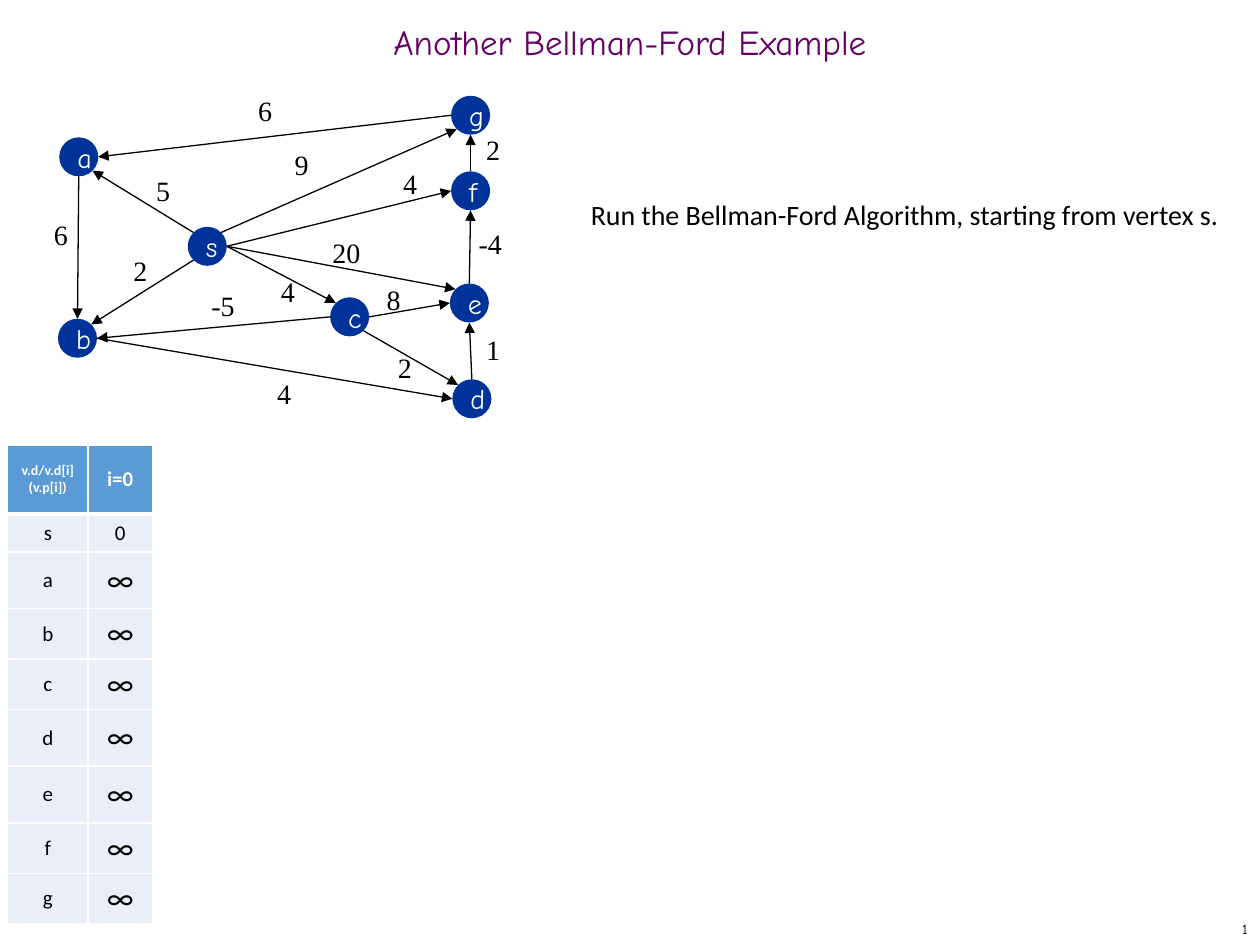
import math
from lxml import etree
from pptx import Presentation
from pptx import util as u
from pptx.dml.color import RGBColor
from pptx.enum import shapes, text
from pptx.oxml import ns

MID = text.MSO_ANCHOR.MIDDLE
LEFT, CENTER, RIGHT = (text.PP_ALIGN.LEFT, text.PP_ALIGN.CENTER,
                       text.PP_ALIGN.RIGHT)
HAND, SERIF, SANS = "Comic Neue", "Times New Roman", "Calibri"
SIZE = 0.31  # vertex diameter

# Top left corner of each vertex
NODES = {
    "s": (1.49, 1.8), "a": (0.47, 1.09), "b": (0.46, 2.53), "c": (2.62, 2.36),
    "d": (3.59, 3.01), "e": (3.57, 2.25), "f": (3.58, 1.36), "g": (3.58, 0.76),
}
# Side of a vertex, as degrees clockwise from east
SIDES = {"E": 0, "SE": 45, "S": 90, "SW": 135,
         "W": 180, "NW": 225, "N": 270, "NE": 315}
# Start vertex and side, end vertex and side, weight, left and top of weight
EDGES = [
    ("s", "NW", "a", "SE", "5", 1.14, 1.33),
    ("s", "SW", "b", "NE", "2", 0.96, 1.96),
    ("s", "NE", "g", "SW", "9", 2.24, 1.12),
    ("s", "E", "f", "W", "4", 3.1, 1.27),
    ("s", "E", "e", "NW", "20", 2.54, 1.82),
    ("s", "E", "c", "NW", "4", 2.13, 2.13),
    ("a", "S", "b", "N", "6", 0.33, 1.68),
    ("b", "E", "d", "W", "4", 2.1, 2.94),
    ("c", "W", "b", "E", "-5", 1.58, 2.24),
    ("c", "E", "e", "W", "8", 2.97, 2.19),
    ("c", "SE", "d", "NW", "2", 3.06, 2.73),
    ("d", "N", "e", "S", "1", 3.76, 2.59),
    ("e", "N", "f", "S", "-4", 3.7, 1.75),
    ("f", "N", "g", "S", "2", 3.76, 1),
    ("g", "W", "a", "E", "6", 1.95, 0.69),
]


def color(code):
    return RGBColor.from_string(code)


def write(frame, words, size, face, tint="000000", align=LEFT, bold=False):
    frame.text = words
    par = frame.paragraphs[0]
    par.alignment = align
    for run in par.runs:
        font = run.font
        font.size, font.name, font.bold = u.Pt(size), face, bold
        font.color.rgb = color(tint)


def place(shape, *box):
    shape.left, shape.top, shape.width, shape.height = map(u.Inches, box)


def add_title(slide, words):
    title = slide.shapes.title
    place(title, 0, 0.12, 10, 0.5)
    frame = title.text_frame
    frame.vertical_anchor = MID
    write(frame, words, 20, HAND, "660066", CENTER)
    frame.paragraphs[0].line_spacing = 0.7


def add_text(slide, box, words, size, face, align=LEFT):
    frame = slide.shapes.add_textbox(*map(u.Inches, box)).text_frame
    frame.word_wrap = True
    write(frame, words, size, face, align=align)
    return frame


def add_node(slide, name, left, top):
    dot = slide.shapes.add_shape(
        shapes.MSO_SHAPE.OVAL, *map(u.Inches, (left, top, SIZE, SIZE)))
    dot.shadow.inherit = False
    dot.fill.solid()
    dot.fill.fore_color.rgb = color("003399")
    dot.line.fill.background()
    dot.text_frame.vertical_anchor = MID
    write(dot.text_frame, name, 16, HAND, "FFFFFF", CENTER)


def rim(name, side):
    """Point on the rim of a vertex."""
    left, top = NODES[name]
    angle, half = math.radians(SIDES[side]), SIZE / 2
    return (u.Inches(left + half + half * math.cos(angle)),
            u.Inches(top + half + half * math.sin(angle)))


def add_edge(slide, start, end):
    line = slide.shapes.add_connector(
        shapes.MSO_CONNECTOR.STRAIGHT, *start, *end)
    line.line.color.rgb = color("000000")
    line.line.width = u.Pt(0.75)
    props = line.line._get_or_add_ln()
    etree.SubElement(props, ns.qn("a:tailEnd"), type="triangle")
    etree.SubElement(line._element.spPr, ns.qn("a:effectLst"))


def add_border(cell, widths):
    props = cell._tc.get_or_add_tcPr()
    for spot, (side, width) in enumerate(zip("LRTB", widths)):
        edge = etree.Element(ns.qn("a:ln" + side), w=str(u.Pt(width)))
        fill = etree.SubElement(edge, ns.qn("a:solidFill"))
        etree.SubElement(fill, ns.qn("a:srgbClr"), val="FFFFFF")
        props.insert(spot, edge)


def add_grid(slide):
    rows = [("v.d/v.d[i] (v.p[i])", "i=0"), ("s", "0")]
    rows += [(name, "∞") for name in "abcdefg"]
    highs = [0.55, 0.3, 0.45, 0.4, 0.4, 0.45, 0.45, 0.4, 0.4]
    wides = [0.64, 0.51]
    box = (0.06, 3.53, sum(wides), sum(highs))
    grid = slide.shapes.add_table(
        len(rows), len(wides), *map(u.Inches, box)).table
    for col, wide in zip(grid.columns, wides):
        col.width = u.Inches(wide)
    for r, (row, high) in enumerate(zip(rows, highs)):
        grid.rows[r].height = u.Inches(high)
        head = r == 0
        for c, words in enumerate(row):
            cell = grid.cell(r, c)
            cell.vertical_anchor = MID
            cell.fill.solid()
            cell.fill.fore_color.rgb = color("5B9BD5" if head else "EAEFF7")
            size = 8 if head and c == 0 else 18 if words == "∞" else 12
            write(cell.text_frame, words, size, SANS,
                  "FFFFFF" if head else "000000", CENTER, head)
            add_border(cell, (1, 1, 3 if r == 1 else 1, 3 if head else 1))


def main():
    deck = Presentation()
    deck.slide_width, deck.slide_height = u.Inches(10), u.Inches(7.5)
    slide = deck.slides.add_slide(deck.slide_layouts[5])

    # Title, task and page number
    add_title(slide, "Another Bellman-Ford Example")
    add_text(slide, (4.59, 1.52, 5.29, 0.37),
             "Run the Bellman-Ford Algorithm, starting from vertex s.",
             16, SANS)
    page = add_text(slide, (7.92, 7.25, 2.08, 0.25), "1", 8, HAND, RIGHT)
    page.vertical_anchor = MID

    # Distance table
    add_grid(slide)

    # Weighted graph
    for name, spot in NODES.items():
        add_node(slide, name, *spot)
    for tail, out, head, into, weight, left, top in EDGES:
        add_edge(slide, rim(tail, out), rim(head, into))
        wide = 0.2 + 0.15 * len(weight)
        add_text(slide, (left, top, wide, 0.37), weight, 16, SERIF)

    deck.save("out.pptx")


if __name__ == "__main__":
    main()
